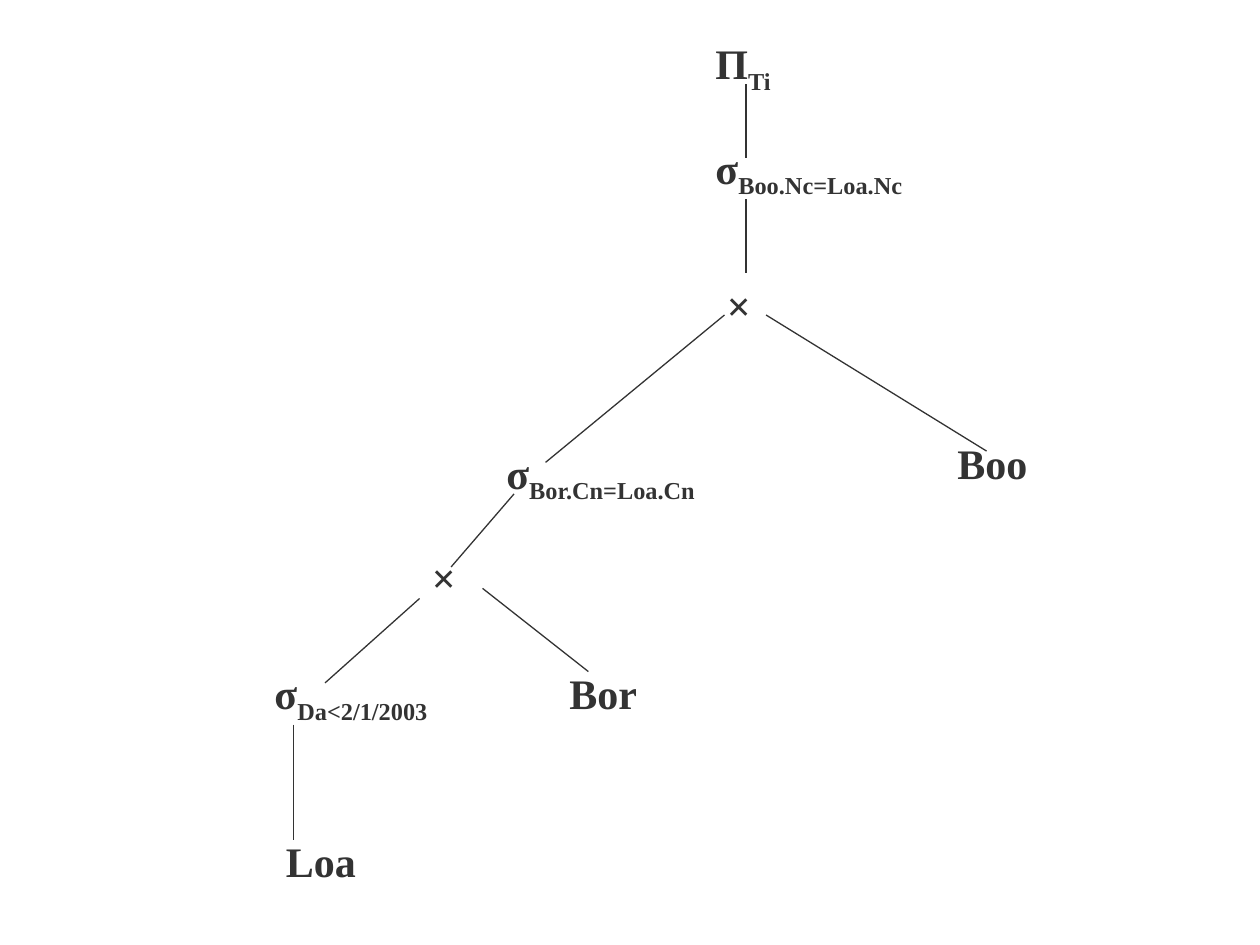
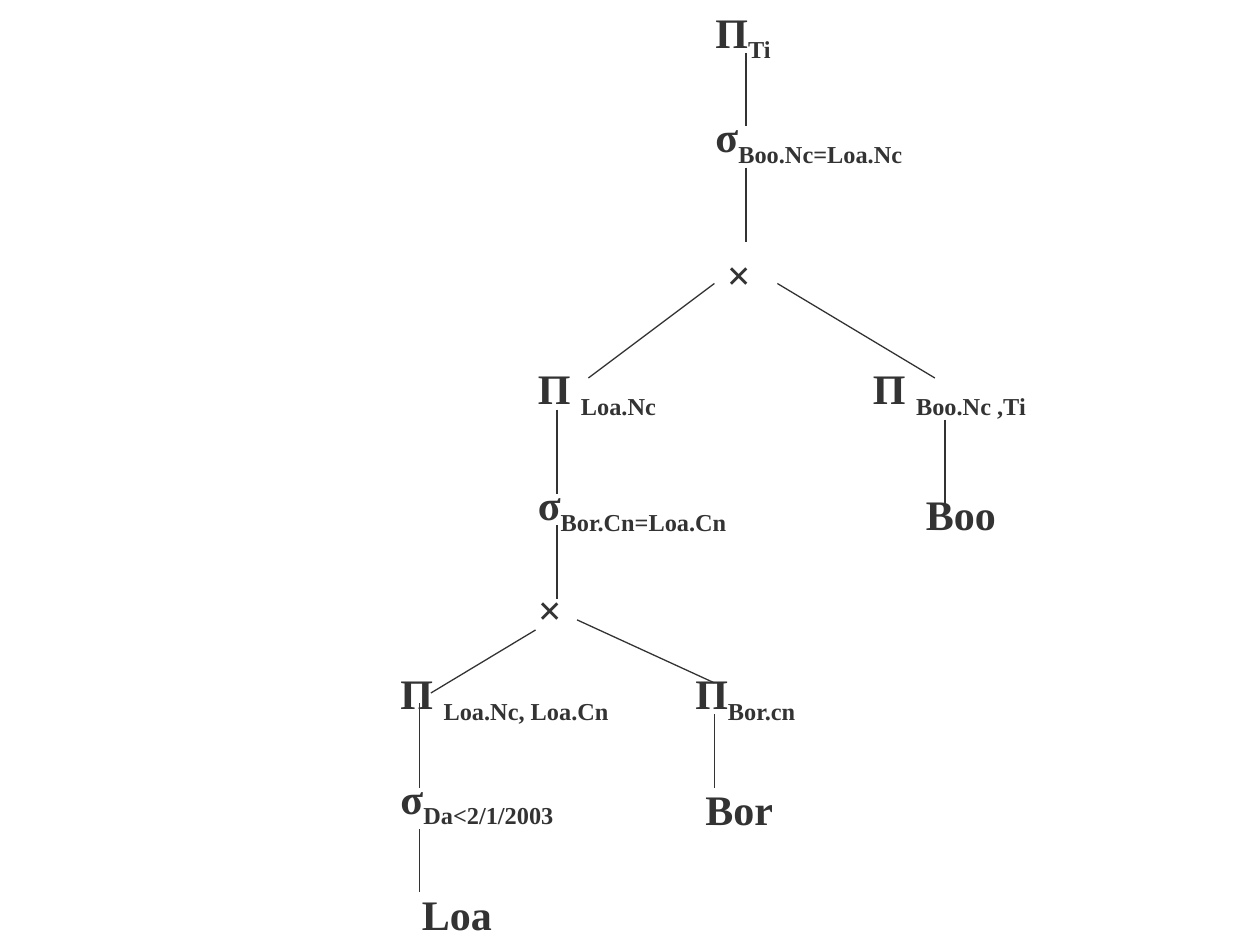
from dataclasses import dataclass

from lxml import etree
from pptx import Presentation
from pptx.dml.color import RGBColor
from pptx.enum.shapes import MSO_CONNECTOR
from pptx.enum.text import MSO_AUTO_SIZE
from pptx.oxml.ns import qn
from pptx.util import Inches, Pt

STRAIGHT = MSO_CONNECTOR.STRAIGHT
GROW = MSO_AUTO_SIZE.SHAPE_TO_FIT_TEXT

COLORS = {"ink": "333333"}
INK = RGBColor.from_string(COLORS["ink"])
FONT = {"name": "Times New Roman", "size": Pt(24), "bold": True}
FRAME = {
    "word_wrap": True, "auto_size": GROW,
    "margin_left": Inches(0.1), "margin_right": Inches(0.1),
    "margin_top": Inches(0.05), "margin_bottom": Inches(0.05),
}
PLAIN_HEIGHT, SUBSCRIPT_HEIGHT = 0.5, 0.56


@dataclass(frozen=True)
class Node:
    """An operator or relation; the subscript holds the operator's condition."""
    left: float
    top: float
    width: float
    symbol: str
    subscript: str = ""


@dataclass(frozen=True)
class Edge:
    x1: float
    y1: float
    x2: float
    y2: float


def add_node(s, node: Node) -> None:
    height = SUBSCRIPT_HEIGHT if node.subscript else PLAIN_HEIGHT
    tb = s.shapes.add_textbox(Inches(node.left), Inches(node.top),
                              Inches(node.width), Inches(height))
    tf = tb.text_frame
    for name, value in FRAME.items():
        setattr(tf, name, value)
    p = tf.paragraphs[0]
    for text, baseline in ((node.symbol, None), (node.subscript, "-25000")):
        if not text:
            continue
        r = p.add_run()
        r.text = text
        for name, value in FONT.items():
            setattr(r.font, name, value)
        r.font.color.rgb = INK
        if baseline:
            r._r.get_or_add_rPr().set("baseline", baseline)


def add_edge(s, edge: Edge) -> None:
    c = s.shapes.add_connector(STRAIGHT, Inches(edge.x1), Inches(edge.y1),
                               Inches(edge.x2), Inches(edge.y2))
    c.line.color.rgb = INK
    c.line.width = Pt(0.75)
    etree.SubElement(c._element.spPr, qn("a:effectLst"))


def root_chain(top: float) -> list[Node | Edge]:
    """Projection, join selection and product that head each query tree."""
    x = 5.92
    return [
        Node(5.58, top, 1.25, "Π", "Ti"),
        Edge(x, top + 0.42, x, top + 1),
        Node(5.58, top + 0.83, 2.25, "σ", "Boo.Nc=Loa.Nc"),
        Edge(x, top + 1.33, x, top + 1.92),
        Node(5.67, top + 1.92, 0.5, "×"),
    ]


# Tree with the selections pushed down
SELECTIONS_DOWN = root_chain(0.25) + [
    # Branches of the upper product
    Edge(4.33, 3.67, 5.75, 2.5),
    Edge(6.08, 2.5, 7.83, 3.58),
    Node(7.5, 3.42, 1.08, "Boo"),
    Node(3.92, 3.5, 2.17, "σ", "Bor.Cn=Loa.Cn"),
    Edge(4.08, 3.92, 3.58, 4.5),
    # Branches of the lower product
    Node(3.33, 4.33, 0.75, "×"),
    Edge(3.83, 4.67, 4.67, 5.33),
    Node(4.42, 5.25, 0.75, "Bor"),
    Edge(3.33, 4.75, 2.58, 5.42),
    Node(2.08, 5.25, 1.83, "σ", "Da<2/1/2003"),
    Edge(2.33, 5.75, 2.33, 6.67),
    Node(2.17, 6.58, 0.83, "Loa"),
]

# Tree with the projections pushed down as well
PROJECTIONS_DOWN = root_chain(0) + [
    # Right branch of the upper product
    Edge(6.17, 2.25, 7.42, 3),
    Node(6.83, 2.83, 2.08, "Π ", "Boo.Nc ,Ti"),
    Edge(7.5, 3.33, 7.5, 4),
    Node(7.25, 3.83, 1.08, "Boo"),
    # Left branch of the upper product
    Edge(4.67, 3, 5.67, 2.25),
    Node(4.17, 2.83, 1.67, "Π ", "Loa.Nc"),
    Edge(4.42, 3.25, 4.42, 3.92),
    Node(4.17, 3.75, 2.17, "σ", "Bor.Cn=Loa.Cn"),
    Edge(4.42, 4.17, 4.42, 4.75),
    Node(4.17, 4.58, 0.75, "×"),
    # Right branch of the lower product
    Edge(4.58, 4.92, 5.67, 5.42),
    Node(5.42, 5.25, 1.33, "Π", "Bor.cn"),
    Edge(5.67, 5.67, 5.67, 6.25),
    Node(5.5, 6.17, 0.75, "Bor"),
    # Left branch of the lower product
    Edge(4.25, 5, 3.42, 5.5),
    Node(3.08, 5.25, 2.08, "Π ", "Loa.Nc, Loa.Cn"),
    Edge(3.33, 5.58, 3.33, 6.25),
    Node(3.08, 6.08, 1.83, "σ", "Da<2/1/2003"),
    Edge(3.33, 6.58, 3.33, 7.08),
    Node(3.25, 7, 0.83, "Loa"),
]


def main() -> None:
    prs = Presentation()
    prs.slide_width, prs.slide_height = Inches(10), Inches(7.5)
    for tree in (SELECTIONS_DOWN, PROJECTIONS_DOWN):
        s = prs.slides.add_slide(prs.slide_layouts[6])
        for part in tree:
            if isinstance(part, Node):
                add_node(s, part)
            else:
                add_edge(s, part)
    prs.save("out.pptx")


if __name__ == "__main__":
    main()
